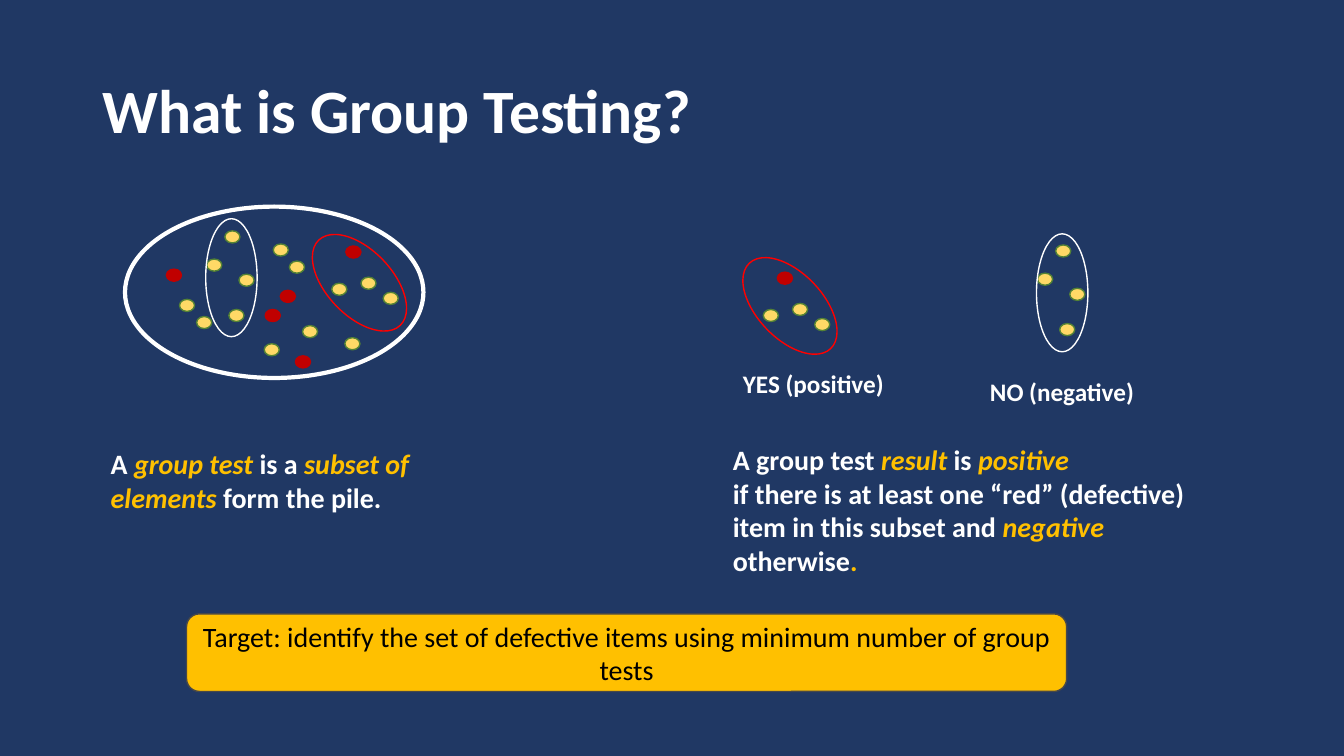
"""Build a slide that explains group testing with a pile and two sample results."""
from dataclasses import dataclass
from typing import Any, NamedTuple

from pptx import Presentation
from pptx.dml.color import RGBColor
from pptx.enum.shapes import MSO_SHAPE
from pptx.enum.text import MSO_ANCHOR, MSO_AUTO_SIZE, PP_ALIGN
from pptx.util import Inches, Pt

OVAL, ROUND = MSO_SHAPE.OVAL, MSO_SHAPE.ROUNDED_RECTANGLE
MIDDLE = MSO_ANCHOR.MIDDLE
GROW, FIXED = MSO_AUTO_SIZE.SHAPE_TO_FIT_TEXT, MSO_AUTO_SIZE.NONE
LEFT, CENTER = PP_ALIGN.LEFT, PP_ALIGN.CENTER


@dataclass(frozen=True)
class Theme:
    font: str = "Calibri"
    navy: str = "203864"
    white: str = "FFFFFF"
    black: str = "000000"
    gold: str = "FFC000"
    gray: str = "484848"
    red: str = "FF0000"
    bad: str = "C00000"
    good: str = "FFD966"
    rim: str = "548235"
    title: int = 44
    body: int = 20
    label: int = 18


class Box(NamedTuple):
    x: float
    y: float
    w: float
    h: float

    def inches(self) -> list[int]:
        return [Inches(v) for v in self]


class Dot(NamedTuple):
    x: float
    y: float
    bad: bool = False


class Part(NamedTuple):
    text: str
    hot: bool = False
    slant: bool = False


class Ring(NamedTuple):
    box: Box
    color: str
    width: float = 1
    turn: float = 0


class Result(NamedTuple):
    label: str
    spot: Box
    dots: list[Dot]
    shift: tuple[float, float]
    ring: Ring


T = Theme()
THIN = [Dot(2.23, 2.29), Dot(2.05, 2.57), Dot(2.27, 3.07), Dot(2.37, 2.72)]
TILT = [Dot(3.43, 2.44, True), Dot(3.58, 2.75), Dot(3.8, 2.9), Dot(3.29, 2.81)]
LOOSE = [
    Dot(2.78, 2.88, True), Dot(2.63, 3.07, True), Dot(1.65, 2.67, True),
    Dot(2.93, 3.53, True), Dot(2.71, 2.42), Dot(1.78, 2.97), Dot(3, 3.23),
    Dot(3.42, 3.35), Dot(2.87, 2.59), Dot(2.62, 3.41), Dot(1.95, 3.14),
]
PILE = Ring(Box(1.24, 2.05, 2.96, 1.7), T.white, 3)
SUBSETS = [
    Ring(Box(2.04, 2.17, 0.51, 1.17), T.white),
    Ring(Box(3.24, 2.22, 0.65, 1.17), T.red, turn=316.4),
]
RESULTS = [
    Result("YES (positive)", Box(7.27, 3.6, 1.61, 0.4), TILT, (4.28, 0.26),
           Ring(Box(7.51, 2.45, 0.65, 1.17), T.red, turn=316.4)),
    Result("NO (negative)", Box(9.72, 3.68, 1.64, 0.4), THIN, (8.24, 0.14),
           Ring(Box(10.28, 2.32, 0.51, 1.17), T.white)),
]
RULE = [
    [Part("A group test "), Part("result", True, True), Part(" is "),
     Part("positive", True, True)],
    [Part("if there is at least one “red” (defective) item in this subset and "),
     Part("negative ", True, True), Part("otherwise"), Part(".", True)],
]
MEANING = [
    [Part("A "), Part("group test ", True, True), Part("is a "),
     Part("subset of elements", True, True), Part(" form the pile.")],
]
TARGET = "Target: identify the set of defective items using minimum number of group tests"


def assign(item: Any, values: dict[str, Any]) -> None:
    for name, value in values.items():
        setattr(item, name, value)


def style(font: Any, size: int, color: str, bold: bool = True, slant: bool = False) -> None:
    assign(font, {"name": T.font, "size": Pt(size), "bold": bold, "italic": slant})
    font.color.rgb = RGBColor.from_string(color)


def shape(shapes: Any, kind: Any, box: Box, fill: str | None, line: str,
          width: float = 1) -> Any:
    item = shapes.add_shape(kind, *box.inches())
    item.shadow.inherit = False
    if fill:
        item.fill.solid()
        item.fill.fore_color.rgb = RGBColor.from_string(fill)
    else:
        item.fill.background()
    item.line.color.rgb = RGBColor.from_string(line)
    item.line.width = Pt(width)
    return item


def scatter(shapes: Any, dots: list[Dot], dx: float = 0, dy: float = 0) -> None:
    for dot in dots:
        fill, line = (T.bad, T.bad) if dot.bad else (T.good, T.rim)
        shape(shapes, OVAL, Box(dot.x + dx, dot.y + dy, 0.15, 0.12), fill, line)


def circle(shapes: Any, ring: Ring) -> None:
    shape(shapes, OVAL, ring.box, None, ring.color, ring.width).rotation = ring.turn


def write(shapes: Any, box: Box, lines: list[list[Part]], size: int, wrap: bool = True) -> None:
    frame = shapes.add_textbox(*box.inches()).text_frame
    assign(frame, {"word_wrap": wrap, "auto_size": GROW})
    for i, parts in enumerate(lines):
        para = frame.add_paragraph() if i else frame.paragraphs[0]
        for part in parts:
            run = para.add_run()
            run.text = part.text
            style(run.font, size, T.gold if part.hot else T.white, slant=part.slant)


def head(title: Any) -> None:
    box = Box(0.92, 0.4, 11.5, 1.45)
    assign(title, dict(zip(("left", "top", "width", "height"), box.inches())))
    title.text = "What is Group Testing?"
    assign(title.text_frame, {"vertical_anchor": MIDDLE, "auto_size": FIXED})
    para = title.text_frame.paragraphs[0]
    assign(para, {"alignment": LEFT, "line_spacing": 0.9})
    style(para.runs[0].font, T.title, T.white)


def banner(shapes: Any) -> None:
    item = shape(shapes, ROUND, Box(1.85, 6.09, 8.73, 0.77), T.gold, T.gray)
    frame = item.text_frame
    frame.text = TARGET
    assign(frame, {"word_wrap": True, "vertical_anchor": MIDDLE})
    frame.paragraphs[0].alignment = CENTER
    style(frame.paragraphs[0].runs[0].font, T.body, T.black, bold=False)


def main() -> None:
    deck = Presentation()
    assign(deck, {"slide_width": Inches(13.33), "slide_height": Inches(7.5)})
    slide = deck.slides.add_slide(deck.slide_layouts[5])
    slide.background.fill.solid()
    slide.background.fill.fore_color.rgb = RGBColor.from_string(T.navy)
    shapes = slide.shapes
    head(shapes.title)
    write(shapes, Box(7.17, 4.34, 4.79, 1.45), RULE, T.body)
    pile = shapes.add_group_shape().shapes
    scatter(pile, LOOSE + THIN + TILT)
    circle(pile, PILE)
    pair = shapes.add_group_shape().shapes
    for ring in SUBSETS:
        circle(pair, ring)
    for result in RESULTS:
        group = shapes.add_group_shape().shapes
        write(group, result.spot, [[Part(result.label)]], T.label, wrap=False)
        scatter(group, result.dots, *result.shift)
        circle(group, result.ring)
    write(shapes, Box(1, 4.38, 3.53, 0.77), MEANING, T.body)
    banner(shapes)
    deck.save("out.pptx")


if __name__ == "__main__":
    main()
